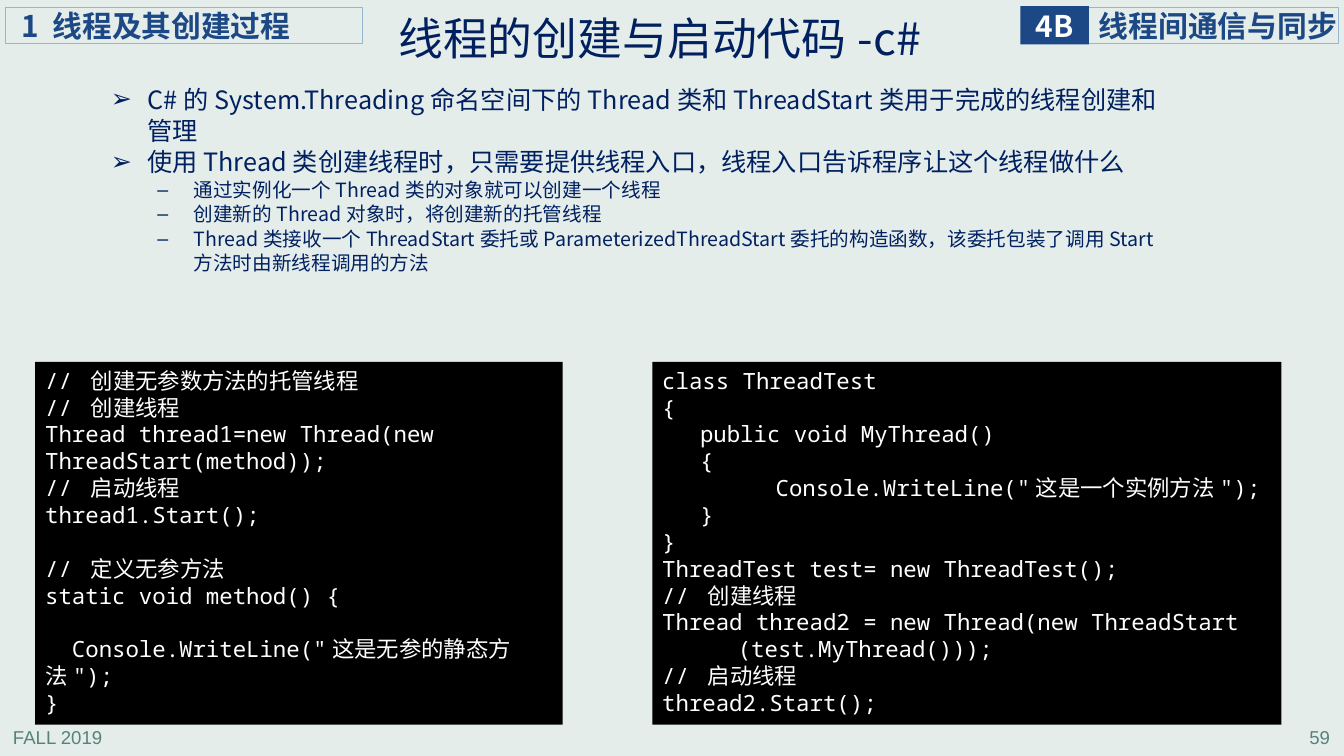
import pptx
import pptx.util
import pptx.dml.color
import pptx.enum.shapes
import pptx.enum.text
import pptx.oxml.ns
from lxml import etree

SANS, MONO, FOOT = "Noto Sans CJK SC", "Noto Sans Mono", "Arial"
NAVY, BLUE, SKY, GREEN = "002060", "1C4885", "94B6D2", "578279"
WHITE, BLACK, PAPER = "FFFFFF", "000000", "E5EDEB"
WIDTH, HEIGHT = 13.33, 7.5
INSETS = (0.08, 0.04, 0.08, 0.04)
CODE_INSETS = (0.1, 0.05, 0.1, 0.05)
CODE_TOP, CODE_HEIGHT, CODE_STEP, CODE_GAP = 3.59, 3.6, 0.375, 19.2

TITLE = "线程的创建与启动代码-c#"
FOOTERS = [("FALL 2019", 0.03, "LEFT"), ("59", 10.51, "RIGHT")]
HEADERS = [
    ("线程间通信与同步", (10.78, 0.07, 2.5, 0.36), 0.12, None, SKY, BLUE, "LEFT"),
    ("4B", (10.12, 0.06, 0.68, 0.38), 0, BLUE, None, WHITE, "CENTER"),
    ("1 线程及其创建过程", (0.05, 0.07, 3.55, 0.36), 0.16, None, SKY, BLUE, "LEFT"),
]
POINTS = [
    (0, "C#的System.Threading命名空间下的Thread类和ThreadStart类用于完成的线程创建和管理"),
    (0, "使用Thread类创建线程时，只需要提供线程入口，线程入口告诉程序让这个线程做什么"),
    (1, "通过实例化一个Thread类的对象就可以创建一个线程"),
    (1, "创建新的Thread对象时，将创建新的托管线程"),
    (1, "Thread类接收一个ThreadStart委托或ParameterizedThreadStart委托的构造函数，该委托包装了调用Start方法时由新线程调用的方法"),
]
LEVELS = [(0.47, 18, "➢"), (0.93, 14, "–")]
HANGING = 0.36
STATIC_CODE = [
    (0, 0, "// 创建无参数方法的托管线程"),
    (0, 0, "// 创建线程"),
    (0, 0, "Thread thread1=new Thread(new ThreadStart(method));"),
    (0, 0, "// 启动线程"),
    (0, 0, "thread1.Start();"),
    (0, 1, "// 定义无参方法"),
    (0, 0, "static void method() {"),
    (0, 1, '  Console.WriteLine("这是无参的静态方法");'),
    (0, 0, "}"),
]
INSTANCE_CODE = [
    (0, 0, "class ThreadTest"),
    (0, 0, "{"),
    (1, 0, "public void MyThread()"),
    (1, 0, "{"),
    (3, 0, 'Console.WriteLine("这是一个实例方法");'),
    (1, 0, "}"),
    (0, 0, "}"),
    (0, 0, "ThreadTest test= new ThreadTest();"),
    (0, 0, "// 创建线程"),
    (0, 0, "Thread thread2 = new Thread(new ThreadStart"),
    (2, 0, "(test.MyThread()));"),
    (0, 0, "// 启动线程"),
    (0, 0, "thread2.Start();"),
]
CODE_PANELS = [(0.35, 5.23, STATIC_CODE), (6.47, 6.24, INSTANCE_CODE)]


def color(value):
    return pptx.dml.color.RGBColor.from_string(value)


def inches(values):
    return [pptx.util.Inches(v) for v in values]


def frame(shape, insets, anchor="TOP", wrap=True):
    tf = shape.text_frame
    tf.margin_left, tf.margin_top, tf.margin_right, tf.margin_bottom = inches(insets)
    tf.vertical_anchor = getattr(pptx.enum.text.MSO_ANCHOR, anchor)
    tf.word_wrap = wrap
    return tf


def textbox(s, box, insets, anchor="TOP"):
    return frame(s.shapes.add_textbox(*inches(box)), insets, anchor)


def rectangle(s, box, fill=None, line=None):
    sp = s.shapes.add_shape(pptx.enum.shapes.MSO_SHAPE.RECTANGLE, *inches(box))
    sp.shadow.inherit = False
    if fill:
        sp.fill.solid()
        sp.fill.fore_color.rgb = color(fill)
    else:
        sp.fill.background()
    if line:
        sp.line.color.rgb = color(line)
        sp.line.width = pptx.util.Pt(0.75)
    else:
        sp.line.fill.background()
    return sp


def write(p, text, size, font, ink, align="LEFT", bold=False):
    p.text = text
    p.alignment = getattr(pptx.enum.text.PP_ALIGN, align)
    for r in p.runs:
        r.font.size = pptx.util.Pt(size)
        r.font.name = font
        r.font.bold = bold
        r.font.color.rgb = color(ink)
        east = etree.SubElement(r.font._element, pptx.oxml.ns.qn("a:ea"))
        east.set("typeface", SANS)


def paragraphs(tf, count):
    return [tf.paragraphs[0]] + [tf.add_paragraph() for _ in range(count - 1)]


def indent(p, left, first=0, bullet=None):
    props = p._p.get_or_add_pPr()
    props.set("marL", str(pptx.util.Inches(left)))
    props.set("indent", str(pptx.util.Inches(first)))
    if bullet:
        etree.SubElement(props, pptx.oxml.ns.qn("a:buFont")).set("typeface", FOOT)
        etree.SubElement(props, pptx.oxml.ns.qn("a:buChar")).set("char", bullet)


def main():
    prs = pptx.Presentation()
    prs.slide_width, prs.slide_height = inches((WIDTH, HEIGHT))
    s = prs.slides.add_slide(prs.slide_layouts[6])
    s.background.fill.solid()
    s.background.fill.fore_color.rgb = color(PAPER)

    for text, left, align in FOOTERS:
        tf = textbox(s, (left, 7.16, 2.78, 0.31), CODE_INSETS, "MIDDLE")
        write(tf.paragraphs[0], text, 13.3, FOOT, GREEN, align)

    for text, box, inset, fill, line, ink, align in HEADERS:
        tf = frame(rectangle(s, box, fill, line), (inset, 0, 0, 0), "MIDDLE", False)
        write(tf.paragraphs[0], text, 21.3, SANS, ink, align, True)

    tf = textbox(s, (3.87, 0.04, 7.47, 0.74), INSETS, "MIDDLE")
    write(tf.paragraphs[0], TITLE, 32, SANS, NAVY)
    tf.paragraphs[0].line_spacing = 0.9

    tf = textbox(s, (0.91, 0.78, 10.78, 2.56), INSETS)
    for p, (level, text) in zip(paragraphs(tf, len(POINTS)), POINTS):
        left, size, bullet = LEVELS[level]
        p.level = level
        indent(p, left, -HANGING, bullet)
        p.line_spacing = 1.04
        write(p, text, size, SANS, NAVY)

    for left, width, lines in CODE_PANELS:
        panel = rectangle(s, (left, CODE_TOP, width, CODE_HEIGHT), BLACK)
        tf = frame(panel, CODE_INSETS)
        for p, (depth, gap, text) in zip(paragraphs(tf, len(lines)), lines):
            indent(p, depth * CODE_STEP)
            if gap:
                p.space_before = pptx.util.Pt(gap * CODE_GAP)
            write(p, text, 16, MONO, WHITE)

    prs.save("out.pptx")


if __name__ == "__main__":
    main()
